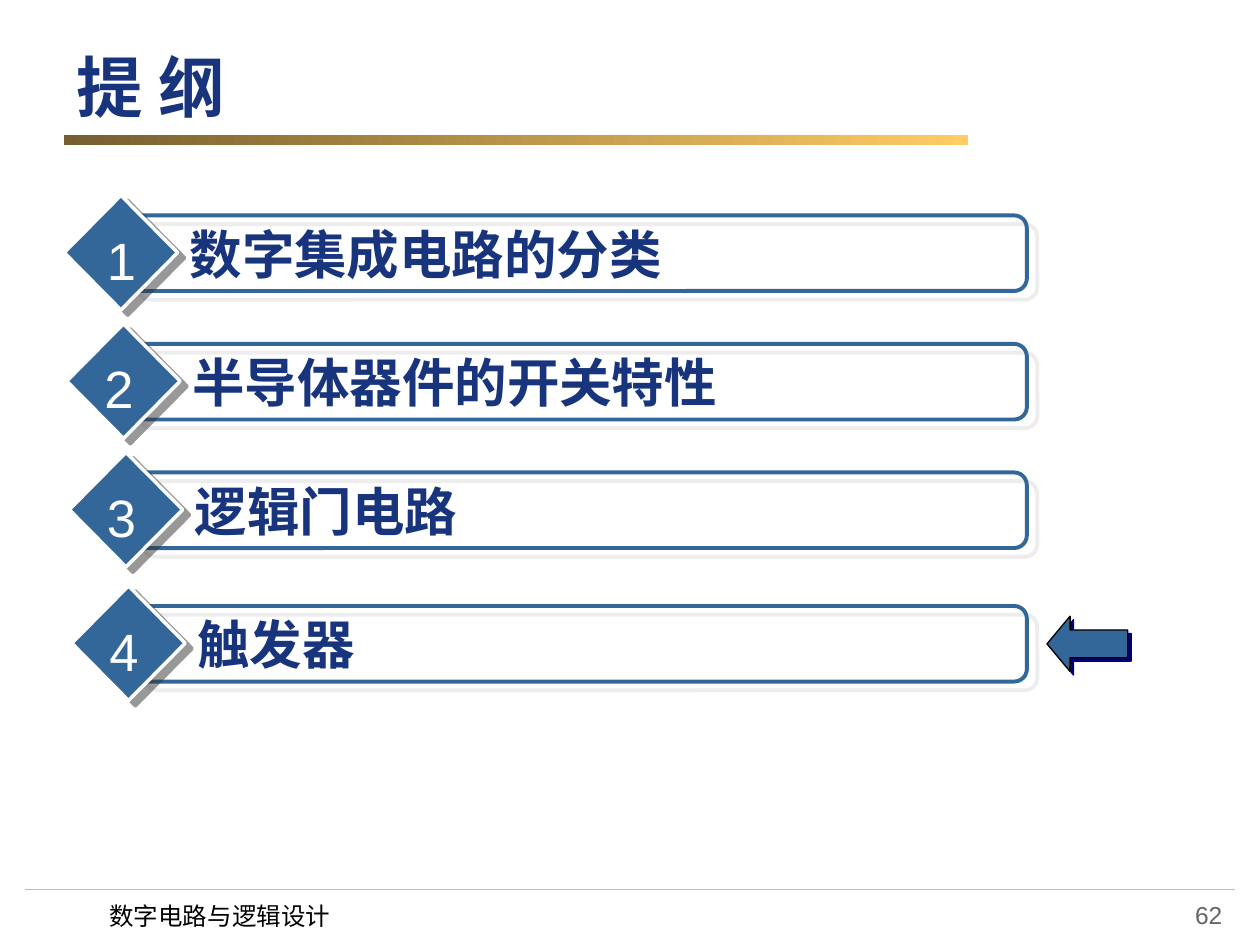
import pptx
import pptx.util
import pptx.dml.color
import pptx.enum.shapes
import pptx.enum.text
import pptx.oxml
import pptx.oxml.ns
from dataclasses import dataclass
from lxml import etree

SHAPE = pptx.enum.shapes.MSO_SHAPE
ALIGN = pptx.enum.text.PP_ALIGN
ANCHOR = pptx.enum.text.MSO_ANCHOR
qn = pptx.oxml.ns.qn
WIDTH, HEIGHT = 10, 7.5
COLS, ROWS = 100, 75  # layout grid, cells of a tenth of an inch


@dataclass(frozen=True)
class Theme:
    navy: str = "17347D"
    blue: str = "336699"
    white: str = "FFFFFF"
    black: str = "000000"
    gray: str = "656565"
    gold_dark: str = "765E2F"
    gold: str = "FFCC66"
    rule: str = "FFC000"
    # shadows: colour, opacity %, distance pt, angle
    bar_shadow: tuple = ("DDDDDD", 50, 7.8, 40)
    diamond_shadow: tuple = ("333333", 50, 5, 37)
    arrow_shadow: tuple = ("00007D", 100, 2.8, 45)
    cjk: str = "Noto Sans CJK SC"
    latin: str = "Arial"
    title: int = 38
    item: int = 30
    footer: int = 14


T = Theme()


def rgb(value):
    return pptx.dml.color.RGBColor.from_string(value)


def col(n):
    return pptx.util.Inches(n * WIDTH / COLS)


def row(n):
    return pptx.util.Inches(n * HEIGHT / ROWS)


def place(box):
    x, y, w, h = box
    return col(x), row(y), col(w), row(h)


def add_shadow(sp, color, opacity, distance, angle):
    effects = sp._element.spPr.find(qn("a:effectLst"))
    outer = etree.SubElement(effects, qn("a:outerShdw"), blurRad="0",
                             dist=str(pptx.util.Pt(distance)), dir=str(angle * 60000),
                             algn="ctr", rotWithShape="0")
    clr = etree.SubElement(outer, qn("a:srgbClr"), val=color)
    etree.SubElement(clr, qn("a:alpha"), val=str(opacity * 1000))


def add_shape(s, kind, box, fill=None, line=None, weight=1, shadow=None):
    sp = s.shapes.add_shape(kind, *place(box))
    sp.shadow.inherit = False
    if fill:
        sp.fill.solid()
        sp.fill.fore_color.rgb = rgb(fill)
    else:
        sp.fill.background()
    if line:
        sp.line.color.rgb = rgb(line)
        sp.line.width = pptx.util.Pt(weight)
    else:
        sp.line.fill.background()
    if shadow:
        add_shadow(sp, *shadow)
    return sp


def add_text(s, box, text, size, color, font, bold=False, align=ALIGN.LEFT,
             anchor=ANCHOR.TOP, indent=1):
    tf = s.shapes.add_textbox(*place(box)).text_frame
    tf.word_wrap = True
    tf.vertical_anchor = anchor
    tf.margin_left = col(indent)
    tf.text = text
    p = tf.paragraphs[0]
    p.alignment = align
    r = p.runs[0]
    r.font.size = pptx.util.Pt(size)
    r.font.bold = bold
    r.font.color.rgb = rgb(color)
    r.font.name = font
    etree.SubElement(r._r.get_or_add_rPr(), qn("a:ea"), typeface=font)


def add_header(s, box, title):
    x, y, w, h = box
    # gradient bar under the title
    bar = add_shape(s, SHAPE.RECTANGLE, (x, y + h, 71.7, 0.8))
    bar.fill.gradient()
    bar.fill.gradient_angle = 0
    for stop, color, pos in zip(bar.fill.gradient_stops, (T.gold_dark, T.gold), (0, 1)):
        stop.color.rgb = rgb(color)
        stop.position = pos
    add_text(s, box, title, T.title, T.navy, T.cjk, bold=True, anchor=ANCHOR.MIDDLE)


def add_item(s, box, number, label, digit_x):
    x, y, w, h = box
    # outlined bar and its label
    add_shape(s, SHAPE.ROUNDED_RECTANGLE, (x + 5, y + 1.6, w - 5, 6),
              line=T.blue, weight=2.25, shadow=T.bar_shadow)
    add_text(s, (x + 8, y + 1.6, w - 8, 6), label, T.item, T.navy, T.cjk,
             bold=True, indent=1.95)
    # numbered diamond
    add_shape(s, SHAPE.DIAMOND, (x, y, 9, h), T.blue, T.white, 2, T.diamond_shadow)
    add_text(s, (x + digit_x, y + 2.1, 4.7, 6.1), str(number), T.item, T.white, T.latin)


def add_outline(s, box, items):
    x, y, w, h = box
    for i, (label, top, digit_x) in enumerate(items):
        shift = 0.2 * i  # each diamond steps slightly to the right
        add_item(s, (x + shift, y + top, w - shift, h), i + 1, label, digit_x)


def add_marker(s, box):
    sp = add_shape(s, SHAPE.LEFT_ARROW, box, T.blue, T.black, 0.75, T.arrow_shadow)
    sp.adjustments[1] = 0.417


def add_footer(s, box, course, page):
    x, y, w, h = box
    line = s.shapes.add_connector(pptx.enum.shapes.MSO_CONNECTOR.STRAIGHT,
                                  col(x), row(y), col(x + w), row(y))
    line.line.color.rgb = rgb(T.rule)
    line.line.width = pptx.util.Pt(0.75)
    etree.SubElement(line._element.spPr, qn("a:effectLst"))
    add_text(s, (x + 5.7, y + 0.4, 24, 3.4), course, T.footer, T.black, T.cjk)
    add_text(s, (x + w - 23.3, y + 0.3, 23.3, h), page, T.footer, T.gray, T.latin,
             align=ALIGN.RIGHT)


def main():
    prs = pptx.Presentation()
    prs.slide_width = pptx.util.Inches(WIDTH)
    prs.slide_height = pptx.util.Inches(HEIGHT)
    s = prs.slides.add_slide(prs.slide_layouts[6])
    add_header(s, (5.1, 3, 89.8, 7.7), "提 纲")
    # label, top within the outline, digit offset within the diamond
    items = [("数字集成电路的分类", 0, 2.4),
             ("半导体器件的开关特性", 10.2, 2),
             ("逻辑门电路", 20.4, 2),
             ("触发器", 31, 2)]
    add_outline(s, (5.1, 15.5, 76.4, 9.1), items)
    add_marker(s, (83.1, 48.9, 6.4, 4.4))
    add_footer(s, (2, 70.6, 96, 4), "数字电路与逻辑设计", "62")
    prs.save("out.pptx")


if __name__ == "__main__":
    main()
